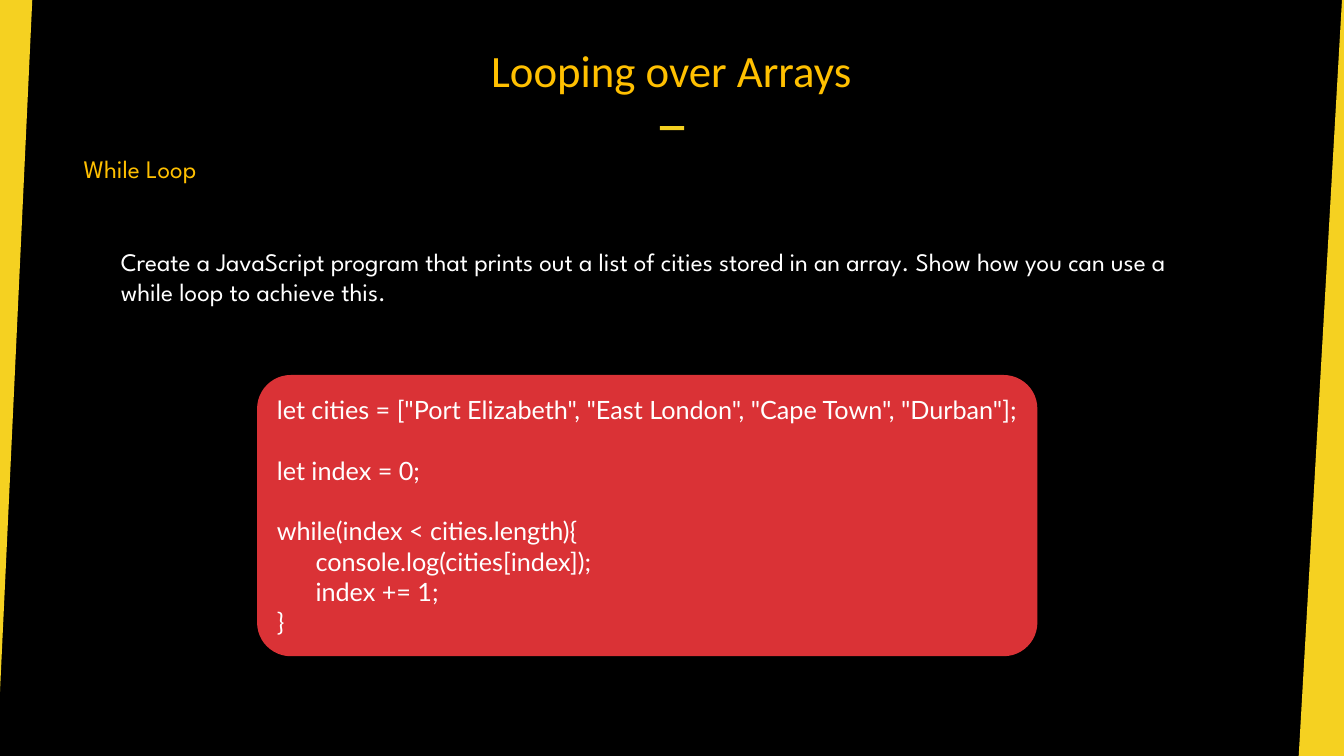
from pptx import Presentation
from pptx.dml.color import RGBColor
from pptx.enum.shapes import MSO_SHAPE
from pptx.enum.text import MSO_ANCHOR, MSO_AUTO_SIZE, PP_ALIGN
from pptx.util import Inches, Pt

RECTANGLE, ROUNDED = MSO_SHAPE.RECTANGLE, MSO_SHAPE.ROUNDED_RECTANGLE
BOTTOM, MIDDLE, TOP = MSO_ANCHOR.BOTTOM, MSO_ANCHOR.MIDDLE, MSO_ANCHOR.TOP
LEFT, CENTER = PP_ALIGN.LEFT, PP_ALIGN.CENTER
NO_FIT, GROW = MSO_AUTO_SIZE.NONE, MSO_AUTO_SIZE.SHAPE_TO_FIT_TEXT
COLORS = {"black": "000000", "yellow": "F5D121", "amber": "FFC000",
          "red": "DA3236", "white": "FFFFFF"}

deck = Presentation()
deck.slide_width, deck.slide_height = Inches(13.33), Inches(7.5)
slide = deck.slides.add_slide(deck.slide_layouts[5])
slide.background.fill.solid()
slide.background.fill.fore_color.rgb = RGBColor.from_string(COLORS["black"])


def share(*percents):
    """Turn alternating x and y percentages of the slide into lengths."""
    sides = (deck.slide_width, deck.slide_height)
    return [round(sides[i % 2] * p / 100) for i, p in enumerate(percents)]


def write(shape, text, font, color, size=18, align=LEFT, anchor=TOP,
          wrap=True, fit=NO_FIT):
    frame = shape.text_frame
    frame.text = text
    frame.word_wrap, frame.auto_size = wrap, fit
    frame.vertical_anchor = anchor
    for paragraph in frame.paragraphs:
        paragraph.alignment = align
        paragraph.font.name, paragraph.font.size = font, Pt(size)
        paragraph.font.color.rgb = RGBColor.from_string(COLORS[color])


# Slanted side wedges
wedges = []
for corners in ([(0, 0), (2.4, 0), (0, 91.47)],
                [(99.85, 0), (100, 0), (100, 100), (96.63, 100)]):
    points = [share(*corner) for corner in corners]
    outline = slide.shapes.build_freeform(*points[0])
    outline.add_line_segments(points[1:])
    wedges.append(outline.convert_to_shape())

# Title with its dash
dash = slide.shapes.add_shape(RECTANGLE, *share(49.1, 16.67, 1.8, 0.53))
title = slide.shapes.title
title.left, title.top, title.width, title.height = share(15.75, 2.8, 68.42, 10)
write(title, "Looping over Arrays", "Calibri", "amber", size=32,
      align=CENTER, anchor=BOTTOM)
title.text_frame.margin_top = Inches(0.04)
title.text_frame.margin_bottom = 0

# Task
topic = slide.shapes.add_textbox(*share(5.48, 19.6, 10.95, 5.33))
write(topic, "While Loop", "League Spartan", "amber", wrap=False, fit=GROW)
task = slide.shapes.add_textbox(*share(8.25, 31.87, 82.6, 9.47))
write(task, "Create a JavaScript program that prints out a list of cities "
      "stored in an array. Show how you can use a while loop to achieve this.",
      "League Spartan", "white", fit=GROW)

# Code panel; \v is a line break inside a paragraph
code = """let cities = ["Port Elizabeth", "East London", "Cape Town", "Durban"];
\vlet index = 0;
\vwhile(index < cities.length){
      console.log(cities[index]);
      index += 1;
}"""
panel = slide.shapes.add_shape(ROUNDED, *share(19.13, 49.6, 58.06, 37.2))
panel.adjustments[0] = 0.12
write(panel, code, "Lato", "white", anchor=MIDDLE)

for shape, color in [(wedge, "yellow") for wedge in wedges] + [
        (dash, "yellow"), (panel, "red")]:
    shape.shadow.inherit = False
    shape.fill.solid()
    shape.fill.fore_color.rgb = RGBColor.from_string(COLORS[color])
    shape.line.fill.background()

deck.save("out.pptx")
